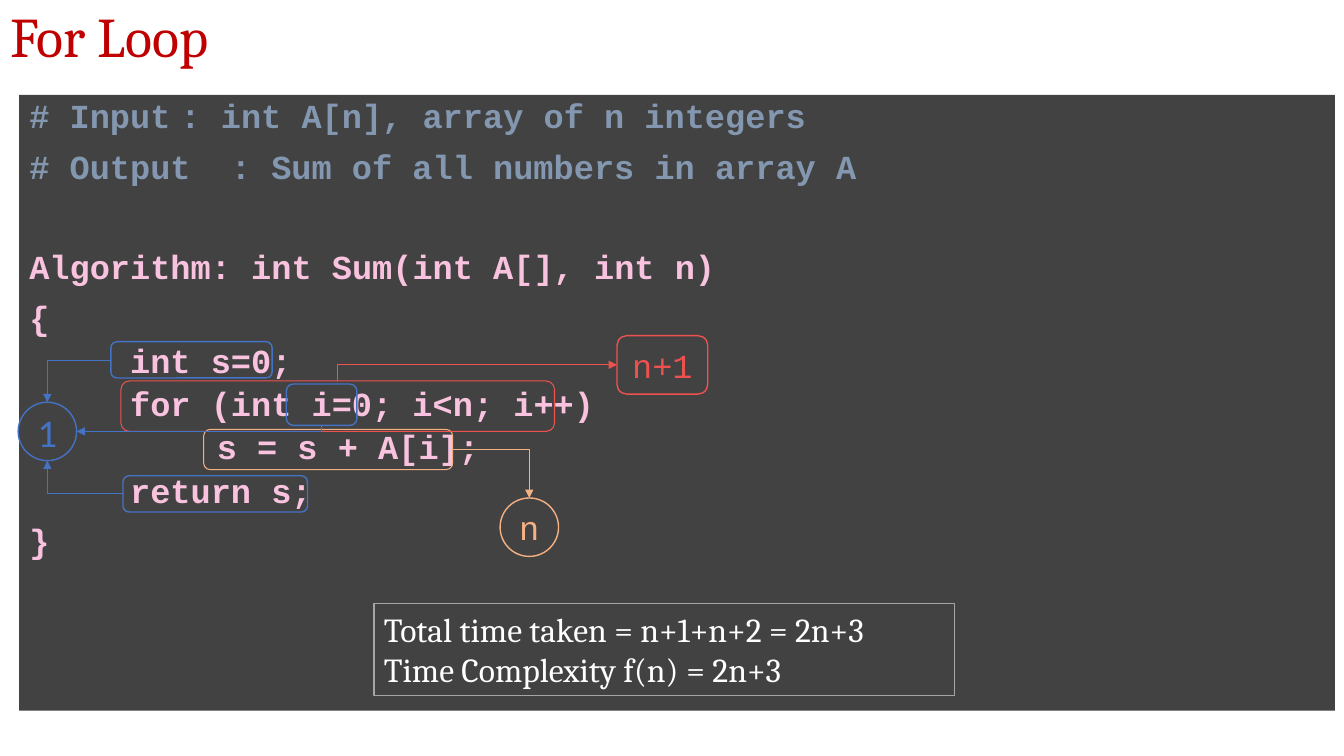
from lxml.etree import SubElement
from pptx import Presentation
from pptx.dml.color import RGBColor
from pptx.enum.shapes import MSO_CONNECTOR, MSO_SHAPE
from pptx.enum.text import MSO_ANCHOR, MSO_AUTO_SIZE, PP_ALIGN
from pptx.oxml.ns import qn
from pptx.util import Inches, Pt

COLORS = {
    "title": "C00000", "panel": "424242", "comment": "8497B0", "code": "F9C3DF",
    "constant": "4472C4", "body": "F4B183", "loop": "ED524F",
    "border": "A5A5A5", "result": "FFFFFF",
}

CODE_LINES = [
    ("# Input\t: int A[n], array of n integers", "comment", 0, 0, 10),
    ("# Output\t: Sum of all numbers in array A", "comment", 0, 0, 10),
    ("Algorithm: int Sum(int A[], int n)", "code", 0, 0, 46),
    ("{", "code", 0, 0, 10),
    ("int s=0;", "code", 1, 1, 5),
    ("for (int i=0; i<n; i++)", "code", 1, 1, 5),
    ("s = s + A[i];", "code", 3, 1.86, 5),
    ("return s;", "code", 1, 1, 5),
    ("}", "code", 0, 0, 10),
]

MARKERS = {
    "init": ("ROUNDED_RECTANGLE", 0.91, 2.45, 1.6, 0.36, "constant", 1),
    "once": ("OVAL", -0.01, 3.05, 0.58, 0.58, "constant", 1),
    "start": ("ROUNDED_RECTANGLE", 2.65, 2.87, 0.7, 0.41, "constant", 1),
    "return": ("ROUNDED_RECTANGLE", 1.03, 3.78, 1.83, 0.36, "constant", 1),
    "sum": ("ROUNDED_RECTANGLE", 1.83, 3.32, 2.47, 0.4, "body", 0.75),
    "checks": ("ROUNDED_RECTANGLE", 5.93, 2.39, 0.9, 0.58, "loop", 1),
    "for": ("ROUNDED_RECTANGLE", 1.01, 2.84, 4.3, 0.5, "loop", 0.75),
    "repeats": ("OVAL", 4.77, 4, 0.58, 0.58, "body", 1),
}

COUNTS = {
    "once": ("1", "Calibri", 28),
    "checks": ("n+1", "Courier New", 24),
    "repeats": ("n", "Courier New", 24),
}

SIDES = {"top": (0.5, 0), "left": (0, 0.5), "bottom": (0.5, 1), "right": (1, 0.5)}

ARROWS = [
    ("init", "left", "once", "top", "constant"),
    ("return", "left", "once", "bottom", "constant"),
    ("start", "bottom", "once", "right", "constant"),
    ("for", "top", "checks", "left", "loop"),
    ("sum", "right", "repeats", "top", "body"),
]


def rgb(name):
    return RGBColor.from_string(COLORS[name])


def apply(target, **formats):
    for attribute, value in formats.items():
        setattr(target, attribute, value)


def place(part, box):
    apply(part, **dict(zip(("left", "top", "width", "height"), map(Inches, box))))


def write(paragraph, wording, font, size, color, bold=False):
    run = paragraph.add_run()
    run.text = wording
    apply(run.font, name=font, size=Pt(size), bold=bold)
    run.font.color.rgb = rgb(color)


def add_outline(slide, preset, box, color, weight):
    outline = slide.shapes.add_shape(MSO_SHAPE[preset], *map(Inches, box))
    outline.shadow.inherit = False
    outline.fill.background()
    outline.line.color.rgb = rgb(color)
    outline.line.width = Pt(weight)
    return outline


def side_point(marker, side):
    across, down = SIDES[side]
    return (marker.left + round(marker.width * across),
            marker.top + round(marker.height * down))


def add_bent_arrow(slide, start, end, color, vertical_first):
    arrow = slide.shapes.add_connector(MSO_CONNECTOR.ELBOW, *start, *end)
    arrow.line.color.rgb = rgb(color)
    arrow.line.width = Pt(0.5)
    properties = arrow._element.spPr
    properties.find(qn("a:prstGeom")).set("prst", "bentConnector2")
    if vertical_first:
        run, rise = end[0] - start[0], end[1] - start[1]
        width, height = abs(rise), abs(run)
        apply(arrow, left=(start[0] + end[0] - width) // 2,
              top=(start[1] + end[1] - height) // 2, width=width, height=height)
        turn = {"rot": "5400000", "flipH": str(int(rise < 0)), "flipV": str(int(run > 0))}
        for attribute, value in turn.items():
            properties.find(qn("a:xfrm")).set(attribute, value)
    SubElement(properties.find(qn("a:ln")), qn("a:tailEnd"), type="triangle")
    SubElement(properties, qn("a:effectLst"))


def fill_title(slide, box):
    title = slide.shapes.title
    place(title, box)
    apply(title.text_frame, vertical_anchor=MSO_ANCHOR.MIDDLE,
          auto_size=MSO_AUTO_SIZE.NONE, word_wrap=True)
    heading = title.text_frame.paragraphs[0]
    apply(heading, alignment=PP_ALIGN.LEFT, line_spacing=0.9)
    write(heading, "For Loop", "Cambria", 40, "title")


def fill_code(slide, box):
    panel = slide.placeholders[1]
    place(panel, box)
    panel.fill.solid()
    panel.fill.fore_color.rgb = rgb("panel")
    frame = panel.text_frame
    apply(frame, vertical_anchor=MSO_ANCHOR.TOP, auto_size=MSO_AUTO_SIZE.NONE, word_wrap=True)
    for number, (wording, color, level, indent, before) in enumerate(CODE_LINES):
        line = frame.add_paragraph() if number else frame.paragraphs[0]
        apply(line, level=level, alignment=PP_ALIGN.JUSTIFY, line_spacing=0.9,
              space_before=Pt(before), space_after=Pt(0))
        properties = line._p.get_or_add_pPr()
        properties.set("marL", str(Inches(indent)))
        properties.set("indent", "0")
        SubElement(properties, qn("a:buNone"))
        write(line, wording, "Courier New", 24, color, True)


def draw_counts(slide, box):
    markers = {}
    for name, (preset, left, top, width, height, color, weight) in MARKERS.items():
        marker_box = (box[0] + left, box[1] + top, width, height)
        markers[name] = add_outline(slide, preset, marker_box, color, weight)
        if name in COUNTS:
            frame = markers[name].text_frame
            frame.vertical_anchor = MSO_ANCHOR.MIDDLE
            frame.paragraphs[0].alignment = PP_ALIGN.CENTER
            write(frame.paragraphs[0], *COUNTS[name], color)
    for source, source_side, target, target_side, color in ARROWS:
        add_bent_arrow(slide, side_point(markers[source], source_side),
                       side_point(markers[target], target_side), color,
                       source_side in ("top", "bottom"))


def draw_result(slide, box):
    result = add_outline(slide, "RECTANGLE", box, "border", 0.75)
    frame = result.text_frame
    apply(frame, vertical_anchor=MSO_ANCHOR.TOP, word_wrap=True,
          auto_size=MSO_AUTO_SIZE.SHAPE_TO_FIT_TEXT)
    wordings = ("Total time taken = n+1+n+2 = 2n+3", "Time Complexity f(n)\t= 2n+3")
    for number, wording in enumerate(wordings):
        line = frame.add_paragraph() if number else frame.paragraphs[0]
        line.alignment = PP_ALIGN.LEFT
        write(line, wording, "Cambria", 24, "result")


def main():
    deck = Presentation()
    apply(deck, slide_width=Inches(13.33), slide_height=Inches(7.5))
    slide = deck.slides.add_slide(deck.slide_layouts[1])
    code_box = (0.19, 0.94, 13.05, 6.11)
    fill_title(slide, (0, 0, 13.33, 0.78))
    fill_code(slide, code_box)
    draw_counts(slide, code_box)
    draw_result(slide, (3.71, 5.99, 5.76, 0.91))
    deck.save("out.pptx")


if __name__ == "__main__":
    main()
